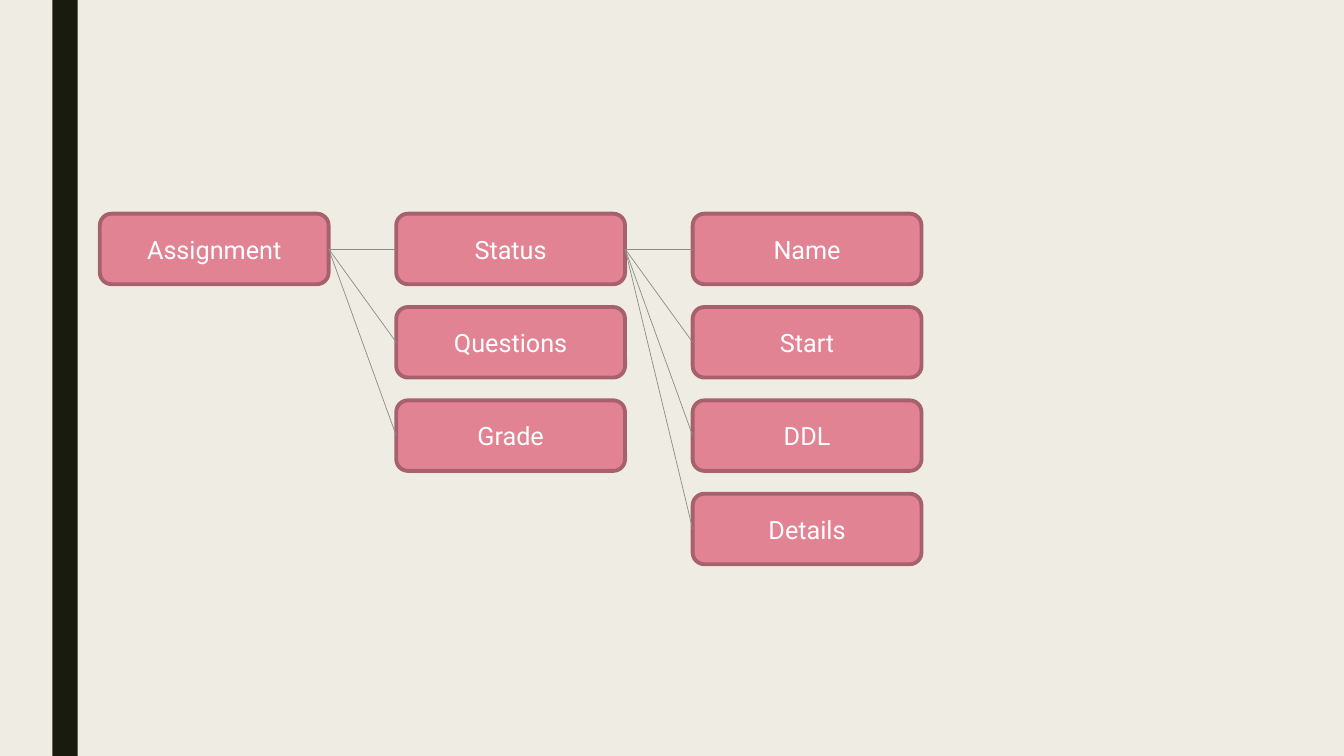
from pptx import Presentation
from pptx.dml.color import RGBColor
from pptx.enum.shapes import MSO_CONNECTOR, MSO_SHAPE
from pptx.enum.text import MSO_ANCHOR, PP_ALIGN
from pptx.oxml.ns import qn
from pptx.util import Inches, Pt
from lxml import etree

COLORS = {
    "background": "EFEDE3",
    "bar": "191B0E",
    "box": "E28394",
    "border": "A7616D",
    "link": "8C8D86",
    "text": "FFFFFF",
}
COLUMNS = [
    ["Assignment"],
    ["Status", "Questions", "Grade"],
    ["Name", "Start", "DDL", "Details"],
]
LEFT, TOP = 0.99, 2.12
COLUMN_STEP, ROW_STEP = 2.94, 0.926
BOX_WIDTH, BOX_HEIGHT = 2.27, 0.7


def color(name):
    return RGBColor.from_string(COLORS[name])


def add_filled(kind, left, top, width, height, fill):
    shape = slide.shapes.add_shape(
        kind, Inches(left), Inches(top), Inches(width), Inches(height))
    shape.shadow.inherit = False
    shape.fill.solid()
    shape.fill.fore_color.rgb = color(fill)
    return shape


presentation = Presentation()
presentation.slide_width = Inches(13.33)
presentation.slide_height = Inches(7.5)
slide = presentation.slides.add_slide(presentation.slide_layouts[6])
slide.background.fill.solid()
slide.background.fill.fore_color.rgb = color("background")

bar = add_filled(MSO_SHAPE.RECTANGLE, 0.52, 0, 0.25, 7.5, "bar")
bar.line.fill.background()

parent = None
for column, labels in enumerate(COLUMNS):
    boxes = []
    for row, label in enumerate(labels):
        box = add_filled(
            MSO_SHAPE.ROUNDED_RECTANGLE,
            LEFT + column * COLUMN_STEP, TOP + row * ROW_STEP,
            BOX_WIDTH, BOX_HEIGHT, "box")
        box.line.color.rgb = color("border")
        box.line.width = Pt(2.75)
        box.text_frame.vertical_anchor = MSO_ANCHOR.MIDDLE
        paragraph = box.text_frame.paragraphs[0]
        paragraph.text = label
        paragraph.alignment = PP_ALIGN.CENTER
        paragraph.font.name = "Roboto"
        paragraph.font.size = Pt(18)
        paragraph.font.color.rgb = color("text")
        boxes.append(box)

        if parent is not None:
            link = slide.shapes.add_connector(MSO_CONNECTOR.STRAIGHT, 0, 0, 0, 0)
            link.begin_connect(parent, 3)
            link.end_connect(box, 1)
            link.line.color.rgb = color("link")
            link.line.width = Pt(0.5)
            etree.SubElement(link._element.spPr, qn("a:effectLst"))
    parent = boxes[0]

presentation.save("out.pptx")
